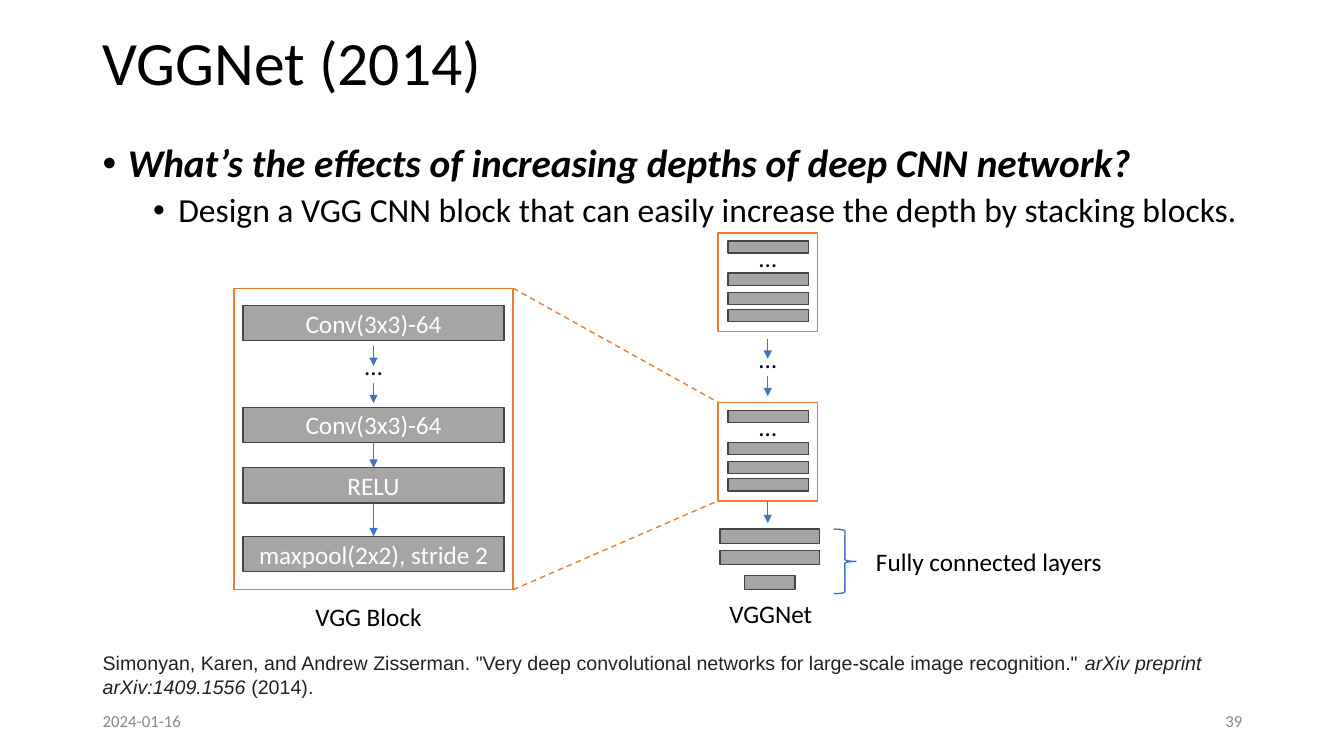
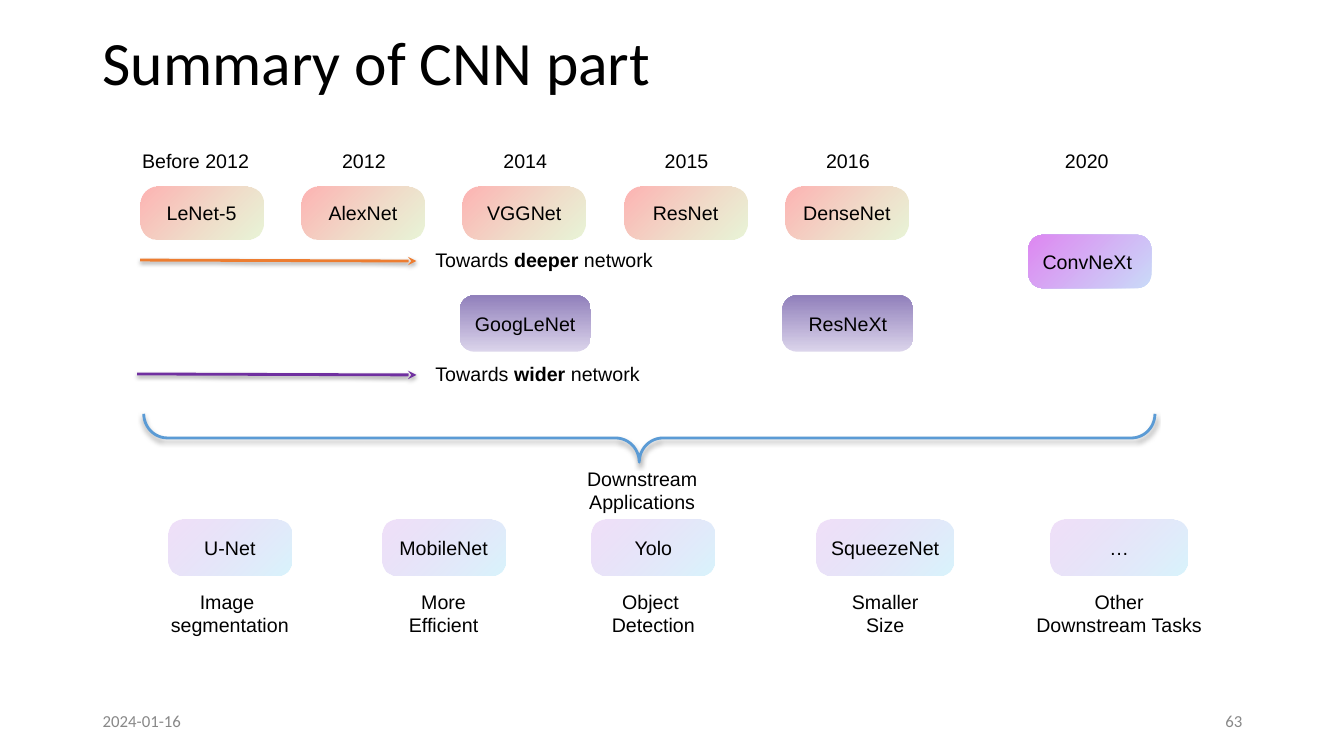
from lxml import etree
from pptx import Presentation
from pptx.dml.color import RGBColor
from pptx.enum.dml import MSO_LINE
from pptx.enum.shapes import MSO_CONNECTOR, MSO_SHAPE
from pptx.enum.text import MSO_ANCHOR, PP_ALIGN
from pptx.oxml.ns import qn
from pptx.util import Inches, Pt

RECT = MSO_SHAPE.RECTANGLE
ROUNDED = MSO_SHAPE.ROUNDED_RECTANGLE
BRACE = MSO_SHAPE.RIGHT_BRACE
STRAIGHT = MSO_CONNECTOR.STRAIGHT
DASH = MSO_LINE.DASH
LEFT, CENTER, RIGHT = PP_ALIGN.LEFT, PP_ALIGN.CENTER, PP_ALIGN.RIGHT
TOP, MIDDLE = MSO_ANCHOR.TOP, MSO_ANCHOR.MIDDLE
TOP_SIDE, BOTTOM_SIDE = 0, 2

BLACK, WHITE, MUTED, CITE = "000000", "FFFFFF", "888888", "222222"
GRAY, GRAY_EDGE = "A5A5A5", "454545"
ORANGE, BLUE, SKY, PURPLE = "ED7D31", "4472C4", "5B9BD5", "7030A0"
HEAD_FONT, LABEL_FONT = "Calibri", "Arial"
MARGIN, CONTENT_WIDTH = 0.92, 11.5

DEEPER = dict(stops=[("D8EDBA", 57), ("FE9696", 73)], angle=135, radius=0.31)
WIDER = dict(stops=[("DBD4EB", 100), ("9180BB", 100)], angle=90, radius=0.26)
MODERN = dict(stops=[("C9DAF8", 100), ("DE87F1", 100)], angle=135, radius=0.27)
DOWNSTREAM = dict(stops=[("69D4F4", 26), ("9F39D5", 16)], angle=135, radius=0.25)


def rgb(value):
    return RGBColor.from_string(value)


def sub(parent, tag, **attributes):
    return etree.SubElement(parent, qn(tag), {k: str(v) for k, v in attributes.items()})


def add_bullet(paragraph, level):
    properties = paragraph._p.get_or_add_pPr()
    properties.set("marL", str(Inches(0.25 + 0.5 * level)))
    properties.set("indent", str(Inches(-0.25)))
    sub(sub(properties, "a:buClr"), "a:srgbClr", val=BLACK)
    sub(properties, "a:buFont", typeface=LABEL_FONT)
    sub(properties, "a:buChar", char="•")
    paragraph.level = level


def write(shape, text, size=18, color=BLACK, font=HEAD_FONT, align=LEFT, anchor=TOP,
          bold=False, italic=False, wrap=True, bullet=None, spacing=None, before=None):
    frame = shape.text_frame
    frame.word_wrap = wrap
    frame.vertical_anchor = anchor
    frame.margin_left = frame.margin_right = Inches(0.1)
    frame.margin_top = frame.margin_bottom = Inches(0.05)
    lines = text.split("\n") if isinstance(text, str) else [text]
    for line in lines:
        paragraph = frame.add_paragraph() if frame.text else frame.paragraphs[0]
        if bullet is not None:
            add_bullet(paragraph, bullet)
        paragraph.alignment = align
        if spacing:
            paragraph.line_spacing = spacing
        if before:
            paragraph.space_before = Pt(before)
        for words, style in [(line, {})] if isinstance(line, str) else line:
            run = paragraph.add_run()
            run.text = words
            run.font.size = Pt(size)
            run.font.name = font
            run.font.color.rgb = rgb(color)
            run.font.bold = style.get("bold", bold)
            run.font.italic = style.get("italic", italic)


def label(slide, box, text, **style):
    area = slide.shapes.add_textbox(*map(Inches, box))
    write(area, text, **style)
    return area


def centered_label(slide, center, top, text, **style):
    return label(slide, (center - 1, top, 2, 0.4), text, align=CENTER, **style)


def set_shadow(part):
    effects = part._element.spPr.find(qn("a:effectLst"))
    shadow = sub(effects, "a:outerShdw", blurRad=Pt(3.1), dist=Pt(1.6),
                 dir=5400000, rotWithShape=0)
    sub(sub(shadow, "a:srgbClr", val=BLACK), "a:alpha", val=38000)


def draw(slide, kind, box, fill=None, line=None, width=1):
    shape = slide.shapes.add_shape(kind, *map(Inches, box))
    shape.shadow.inherit = False
    if fill:
        shape.fill.solid()
        shape.fill.fore_color.rgb = rgb(fill)
    else:
        shape.fill.background()
    if line:
        shape.line.color.rgb = rgb(line)
        shape.line.width = Pt(width)
    else:
        shape.line.fill.background()
    return shape


def gray_bar(slide, box):
    return draw(slide, RECT, box, GRAY, GRAY_EDGE)


def connect(slide, start, end, color=BLUE, width=1, head="triangle", dash=None):
    link = slide.shapes.add_connector(STRAIGHT, *map(Inches, (*start, *end)))
    link.line.color.rgb = rgb(color)
    link.line.width = Pt(width)
    if dash:
        link.line.dash_style = dash
    if head:
        sub(link.line._get_or_add_ln(), "a:tailEnd", type=head)
    sub(link._element.spPr, "a:effectLst")
    return link


def new_slide(deck, title, number):
    slide = deck.slides.add_slide(deck.slide_layouts[6])
    label(slide, (MARGIN, 0.15, CONTENT_WIDTH, 0.99), title, size=44, anchor=MIDDLE, spacing=0.9)
    footer = dict(size=12, color=MUTED, anchor=MIDDLE)
    label(slide, (MARGIN, 6.95, 3, 0.4), "2024-01-16", **footer)
    label(slide, (MARGIN + CONTENT_WIDTH - 3, 6.95, 3, 0.4), number, align=RIGHT, **footer)
    return slide


def ellipsis_gap(slide, center, top):
    for start, end in ((0, 0.2), (0.37, 0.57)):
        connect(slide, (center, top + start), (center, top + end))
    centered_label(slide, center, top, "…", wrap=False)


def vgg_block(slide, box):
    left, top, width, height = box
    center = left + width / 2
    layers = []
    for offset, name in ((0.17, "Conv(3x3)-64"), (1.18, "Conv(3x3)-64"),
                         (1.78, "RELU"), (2.46, "maxpool(2x2), stride 2")):
        layer = gray_bar(slide, (left + 0.09, top + offset, width - 0.18, 0.35))
        write(layer, name, color=WHITE, align=CENTER, anchor=MIDDLE)
        layers.append(layer)
    for upper, lower in zip(layers[1:], layers[2:]):
        link = connect(slide, (center, top), (center, top + 0.2))
        link.begin_connect(upper, BOTTOM_SIDE)
        link.end_connect(lower, TOP_SIDE)
    ellipsis_gap(slide, center, top + 0.57)
    draw(slide, RECT, box, line=ORANGE)
    centered_label(slide, center - 0.05, top + height + 0.07, "VGG Block", wrap=False)


def small_block(slide, box):
    left, top, width, _ = box
    frame = draw(slide, RECT, box, line=ORANGE)
    for offset in (0.08, 0.4, 0.59, 0.76):
        gray_bar(slide, (left + 0.1, top + offset, 0.8, 0.12))
    centered_label(slide, left + width / 2, top + 0.04, "…", wrap=False)
    return frame


def vggnet(slide, left, top):
    width, height, pitch = 0.99, 0.98, 1.68
    center = left + width / 2
    small_block(slide, (left, top, width, height))
    ellipsis_gap(slide, center, top + 1.05)
    last_block = small_block(slide, (left, top + pitch, width, height))
    outlet = connect(slide, (center, top + pitch + height), (center, top + 2.88))
    outlet.begin_connect(last_block, BOTTOM_SIDE)
    for offset, bar_width in ((2.94, 0.99), (3.15, 0.99), (3.4, 0.5)):
        gray_bar(slide, (center + 0.02 - bar_width / 2, top + offset, bar_width, 0.14))
    centered_label(slide, center + 0.03, top + 3.58, "VGGNet", wrap=False)
    brace = draw(slide, BRACE, (left + 1.15, top + 2.94, 0.22, 0.64), line=BLUE)
    brace.adjustments[0] = 0.08
    label(slide, (left + 1.47, top + 3.06, 2.47, 0.4), "Fully connected layers", wrap=False)


def vgg_slide(deck):
    slide = new_slide(deck, "VGGNet (2014)", "39")
    points = label(slide, (MARGIN, 1.38, CONTENT_WIDTH, 1.07),
                   "What’s the effects of increasing depths of deep CNN network?",
                   size=28, bold=True, italic=True, bullet=0, spacing=0.9)
    write(points, "Design a VGG CNN block that can easily increase the depth by stacking blocks.",
          size=24, bullet=1, spacing=0.9, before=5)
    vgg_block(slide, (2.32, 2.86, 2.77, 2.99))
    vggnet(slide, 7.12, 2.31)
    for start, end in (((5.09, 2.86), (7.12, 3.99)), ((5.09, 5.85), (7.12, 4.97))):
        connect(slide, start, end, ORANGE, head=None, dash=DASH)
    citation = [
        ('Simonyan, Karen, and Andrew Zisserman. "Very deep convolutional networks '
         'for large-scale image recognition." ', {}),
        ("arXiv preprint arXiv:1409.1556", {"italic": True}),
        (" (2014).", {}),
    ]
    label(slide, (MARGIN, 6.41, CONTENT_WIDTH, 0.57), citation,
          size=14, color=CITE, font=LABEL_FONT)


def model_card(slide, box, name, look, align=CENTER):
    card = draw(slide, ROUNDED, box)
    card.adjustments[0] = look["radius"]
    card.fill.gradient()
    card.fill.gradient_angle = look["angle"]
    for stop, (color, opacity) in zip(card.fill.gradient_stops, look["stops"]):
        stop.color.rgb = rgb(color)
        if opacity < 100:
            sub(stop._gs[0], "a:alpha", val=opacity * 1000)
    write(card, name, size=14, font=LABEL_FONT, align=align, anchor=MIDDLE)


def timeline(slide, left, top):
    pitch, width, height = 1.6, 1.22, 0.53
    for index, name in enumerate(("LeNet-5", "AlexNet", "VGGNet", "ResNet", "DenseNet")):
        model_card(slide, (left + index * pitch, top + 0.42, width, height), name, DEEPER)
    for offset, year in ((0.55, "Before 2012"), (2.22, "2012"), (3.82, "2014"),
                         (5.42, "2015"), (7.02, "2016"), (9.39, "2020")):
        centered_label(slide, left + offset, top, year, size=14, font=LABEL_FONT, wrap=False)
    for column, name in ((2, "GoogLeNet"), (4, "ResNeXt")):
        model_card(slide, (left + column * pitch - 0.03, top + 1.5, 1.3, 0.56), name, WIDER)
    model_card(slide, (left + 8.81, top + 0.9, width, height), "ConvNeXt", MODERN, LEFT)


def trend(slide, left, top, direction, color):
    arrow = connect(slide, (left, top), (4.13, top + 0.01), color, width=2, head="stealth")
    set_shadow(arrow)
    words = [("Towards ", {}), (direction, {"bold": True}), (" network", {})]
    label(slide, (4.22, top - 0.17, 2.39, 0.34), words, size=14, font=LABEL_FONT, wrap=True)


def applications(slide, top):
    brace = draw(slide, BRACE, (6.2, top - 4.77, 0.48, 10.03), line=SKY, width=2)
    brace.rotation = 90
    brace.adjustments[0], brace.adjustments[1] = 0.49, 0.51
    set_shadow(brace)
    style = dict(size=14, font=LABEL_FONT, wrap=False)
    centered_label(slide, 6.37, top + 0.48, "Downstream Applications", **style)
    for left, width, name, task in (
        (1.67, 1.22, "U-Net", "Image \nsegmentation"),
        (3.79, 1.22, "MobileNet", "More\nEfficient"),
        (5.87, 1.22, "Yolo", "Object \nDetection"),
        (8.1, 1.36, "SqueezeNet", "Smaller\nSize"),
        (10.42, 1.36, "…", "Other\nDownstream Tasks"),
    ):
        model_card(slide, (left, top + 1.05, width, 0.56), name, DOWNSTREAM)
        centered_label(slide, left + width / 2, top + 1.7, task, **style)


def summary_slide(deck):
    slide = new_slide(deck, "Summary of CNN part", "63")
    timeline(slide, 1.39, 1.43)
    trend(slide, 1.39, 2.58, "deeper", ORANGE)
    trend(slide, 1.36, 3.71, "wider", PURPLE)
    applications(slide, 4.1)


def main():
    deck = Presentation()
    deck.slide_width, deck.slide_height = Inches(13.33), Inches(7.5)
    vgg_slide(deck)
    summary_slide(deck)
    deck.save("out.pptx")


if __name__ == "__main__":
    main()
